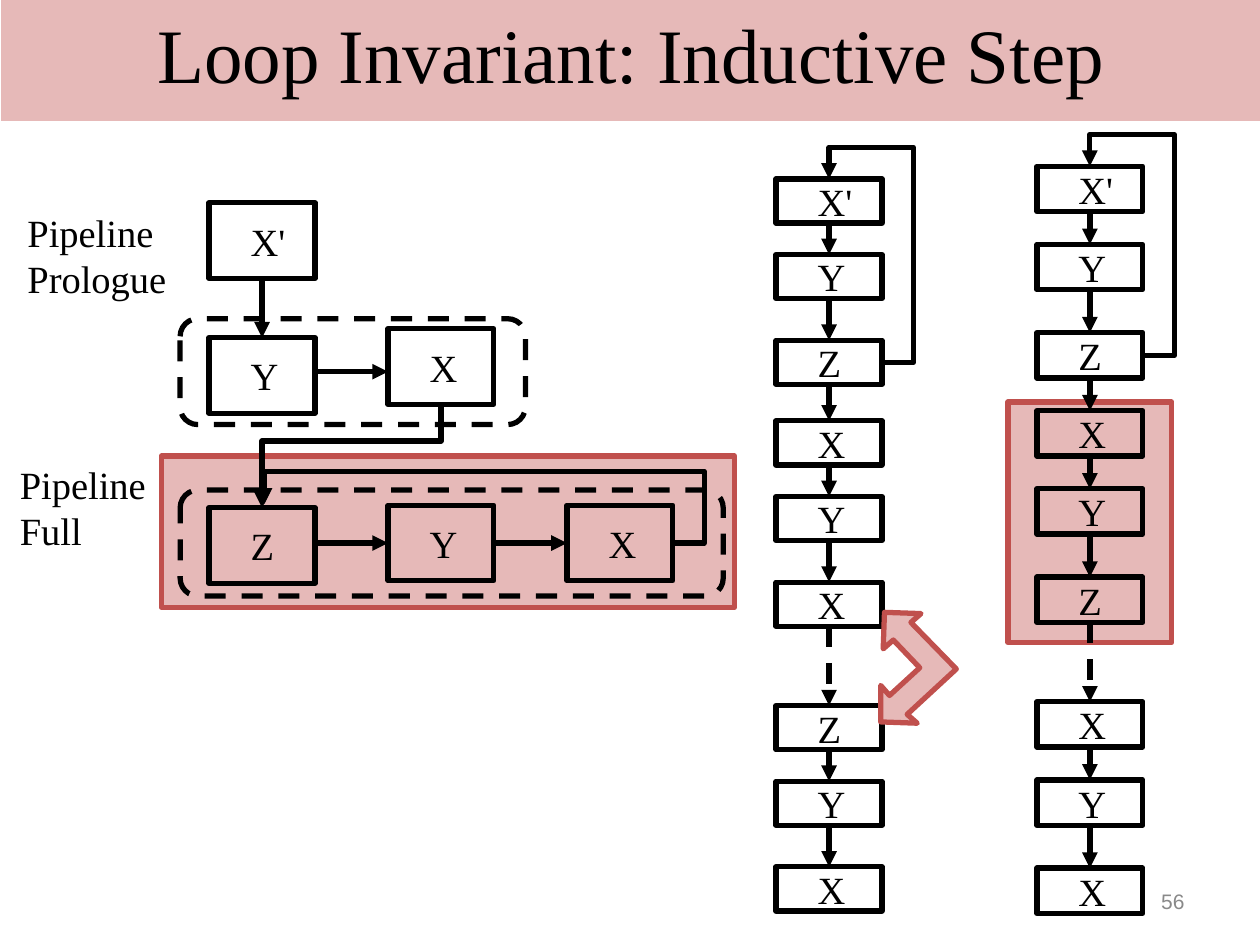
from lxml.etree import SubElement
from pptx import Presentation
from pptx.dml.color import RGBColor
from pptx.enum.dml import MSO_LINE
from pptx.enum.shapes import MSO_CONNECTOR, MSO_SHAPE
from pptx.enum.text import MSO_ANCHOR, MSO_AUTO_SIZE, PP_ALIGN
from pptx.oxml.ns import qn
from pptx.util import Inches, Pt

BLACK = RGBColor(0x00, 0x00, 0x00)
PINK = RGBColor(0xE6, 0xB9, 0xB8)
RED = RGBColor(0xC0, 0x50, 0x4D)
GRAY = RGBColor(0x89, 0x89, 0x89)
SERIF = "Times New Roman"
TOP, LEFT, BOTTOM, RIGHT = range(4)
NODE_W = 0.84
SWAP_ARROW = [
    (6.99, 5.73), (6.99, 5.44), (7.06, 5.52), (7.3, 5.3), (7.09, 5.08), (7.01, 5.15),
    (7.02, 4.86), (7.31, 4.87), (7.23, 4.94), (7.59, 5.31), (7.2, 5.67), (7.28, 5.74),
]


def set_font(p, size, color=BLACK, name=SERIF):
    """Format a whole paragraph."""
    p.font.size, p.font.name, p.font.color.rgb = Pt(size), name, color


def style(sp, line, fill=None):
    """Give a shape its outline and its fill, or none."""
    sp.shadow.inherit = False
    sp.line.color.rgb, sp.line.width = line, Pt(3)
    if fill is None:
        sp.fill.background()
    else:
        sp.fill.solid()
        sp.fill.fore_color.rgb = fill


def add_box(s, x, y, w, h, line=BLACK, fill=None, kind=MSO_SHAPE.RECTANGLE):
    """Add an outlined shape."""
    sp = s.shapes.add_shape(kind, Inches(x), Inches(y), Inches(w), Inches(h))
    style(sp, line, fill)
    return sp


def add_node(s, label, x, y, h):
    """Add a labelled stage box."""
    sp = add_box(s, x, y, NODE_W, h)
    tf = sp.text_frame
    tf.margin_left = Inches(0.33)
    tf.vertical_anchor = MSO_ANCHOR.MIDDLE
    p = tf.paragraphs[0]
    p.text, p.alignment = label, PP_ALIGN.LEFT
    set_font(p, 22)
    return sp


def add_group(s, x, y, w, h):
    """Add a dashed rounded frame."""
    sp = add_box(s, x, y, w, h, kind=MSO_SHAPE.ROUNDED_RECTANGLE)
    sp.line.dash_style = MSO_LINE.DASH


def add_arrow(s, x1, y1, x2, y2, kind=MSO_CONNECTOR.STRAIGHT, dashed=False):
    """Add a black connector with an arrowhead."""
    c = s.shapes.add_connector(kind, Inches(x1), Inches(y1), Inches(x2), Inches(y2))
    c.line.color.rgb, c.line.width = BLACK, Pt(3)
    if dashed:
        c.line.dash_style = MSO_LINE.DASH
    pr = c._element.spPr
    SubElement(pr.find(qn("a:ln")), qn("a:tailEnd"), type="triangle")
    SubElement(pr, qn("a:effectLst"))
    return c


def join(s, a, b, dashed=False):
    """Link the bottom of one node to the top of the next."""
    c = add_arrow(s, 0, 0, 1, 1, dashed=dashed)
    c.begin_connect(a, BOTTOM)
    c.end_connect(b, TOP)


def bend(c, kind, *ratios):
    """Set the kind of an elbow and where it bends."""
    geom = c._element.spPr.find(qn("a:prstGeom"))
    geom.set("prst", kind)
    av = geom.find(qn("a:avLst"))
    if av is None:
        av = SubElement(geom, qn("a:avLst"))
    for i, ratio in enumerate(ratios, 1):
        SubElement(av, qn("a:gd"), name=f"adj{i}", fmla=f"val {round(ratio * 100000)}")


def add_loop(s, x1, y1, x2, y2, out, rise):
    """Add a back edge that leaves to the right and enters from above."""
    c = add_arrow(s, x1, y1, x2, y2, MSO_CONNECTOR.ELBOW)
    bend(c, "bentConnector4", -out / (x1 - x2), 1 + rise / (y1 - y2))


def add_drop(s, x1, y1, x2, y2, drop):
    """Add an edge that goes down, left and down again."""
    cx, cy, w, h = (x1 + x2) / 2, (y1 + y2) / 2, y2 - y1, x1 - x2
    c = add_arrow(s, cx - w / 2, cy - h / 2, cx + w / 2, cy + h / 2, MSO_CONNECTOR.ELBOW)
    c._element.spPr.find(qn("a:xfrm")).set("rot", "5400000")
    bend(c, "bentConnector3", drop / w)


def add_text(s, x, y, w, h, lines):
    """Add a text box and return its frame."""
    tf = s.shapes.add_textbox(Inches(x), Inches(y), Inches(w), Inches(h)).text_frame
    tf.word_wrap = True
    tf.text = "\n".join(lines)
    for p in tf.paragraphs:
        set_font(p, 22)
    return tf


def add_title(s, x, y, w, h):
    """Place the title band."""
    sp = s.shapes.title
    sp.left, sp.top, sp.width, sp.height = map(Inches, (x, y, w, h))
    sp.fill.solid()
    sp.fill.fore_color.rgb = PINK
    tf = sp.text_frame
    tf.text = "Loop Invariant: Inductive Step"
    tf.auto_size = MSO_AUTO_SIZE.NONE
    tf.vertical_anchor = MSO_ANCHOR.TOP
    p = tf.paragraphs[0]
    p.alignment = PP_ALIGN.CENTER
    set_font(p, 44)


def add_pipeline(s, x, y):
    """Draw the prologue and the full pipeline."""
    h, step = 0.6, 1.42
    mid = x + NODE_W / 2
    add_box(s, x - 0.38, y + 2.01, 4.55, 1.2, RED, PINK)
    add_group(s, x - 0.23, y + 2.28, 4.31, 0.84)
    add_group(s, x - 0.23, y + 0.92, 2.74, 0.84)
    add_text(s, x - 1.54, y, 1.36, 0.84, ["Pipeline", "Prologue"])
    add_text(s, x - 1.6, y + 2, 1.2, 0.84, ["Pipeline", "Full"])
    first = add_node(s, "X'", x, y, h)
    second = add_node(s, "Y", x, y + 1.07, h)
    add_node(s, "X", x + step, y + 1, h)
    add_node(s, "Z", x, y + 2.42, h)
    full = [add_node(s, t, x + i * step, y + 2.4, h) for i, t in enumerate("YX", 1)]
    join(s, first, second)
    add_arrow(s, x + NODE_W, y + 1.34, x + step, y + 1.34)
    add_arrow(s, x + NODE_W, y + 2.7, x + step, y + 2.7).end_connect(full[0], LEFT)
    c = add_arrow(s, 0, 0, 1, 1)
    c.begin_connect(full[0], RIGHT)
    c.end_connect(full[1], LEFT)
    add_drop(s, mid + step, y + 1.6, mid, y + 2.42, 0.29)
    add_loop(s, x + 2 * step + NODE_W, y + 2.7, mid + 0.02, y + 2.39, 0.25, 0.26)


def add_column(s, x, y, h, groups, starts, offsets):
    """Draw a vertical trace of three groups, the first of which loops."""
    places = [(t, y + start + dy) for group, start in zip(groups, starts)
              for t, dy in zip(group, offsets)]
    nodes = [add_node(s, t, x, top, h) for t, top in places]
    for i, (a, b) in enumerate(zip(nodes, nodes[1:])):
        join(s, a, b, dashed=i == 5)
    add_loop(s, x + NODE_W, y + offsets[2] + h / 2, x + NODE_W / 2, y, 0.25, 0.25)


def add_swap_arrow(s, points):
    """Draw the bent double arrow between the swapped stages."""
    start, *rest = [(Inches(x), Inches(y)) for x, y in points]
    fb = s.shapes.build_freeform(*start)
    fb.add_line_segments(rest, close=True)
    style(fb.convert_to_shape(), RED, PINK)


def add_page_number(s, x, y, w, h):
    """Place the page number."""
    tf = add_text(s, x, y, w, h, ["56"])
    tf.vertical_anchor = MSO_ANCHOR.MIDDLE
    p = tf.paragraphs[0]
    p.alignment = PP_ALIGN.RIGHT
    set_font(p, 12, GRAY, "Arial")


def main():
    """Build and save the slide."""
    prs = Presentation()
    prs.slide_width, prs.slide_height = Inches(10), Inches(7.5)
    s = prs.slides.add_slide(prs.slide_layouts[5])
    add_title(s, 0.01, 0, 10, 0.96)
    add_pipeline(s, 1.66, 1.61)
    add_column(s, 6.16, 1.42, 0.35, [("X'", "Y", "Z"), "XYX", "ZYX"],
               (0, 1.92, 4.18), (0, 0.6, 1.28))
    add_swap_arrow(s, SWAP_ARROW)
    add_box(s, 8, 3.19, 1.3, 1.91, RED, PINK)
    add_column(s, 8.23, 1.32, 0.36, [("X'", "Y", "Z"), "XYZ", "XYX"],
               (0, 1.94, 4.25), (0, 0.62, 1.32))
    add_page_number(s, 7.17, 6.95, 2.33, 0.4)
    prs.save("out.pptx")


if __name__ == "__main__":
    main()
